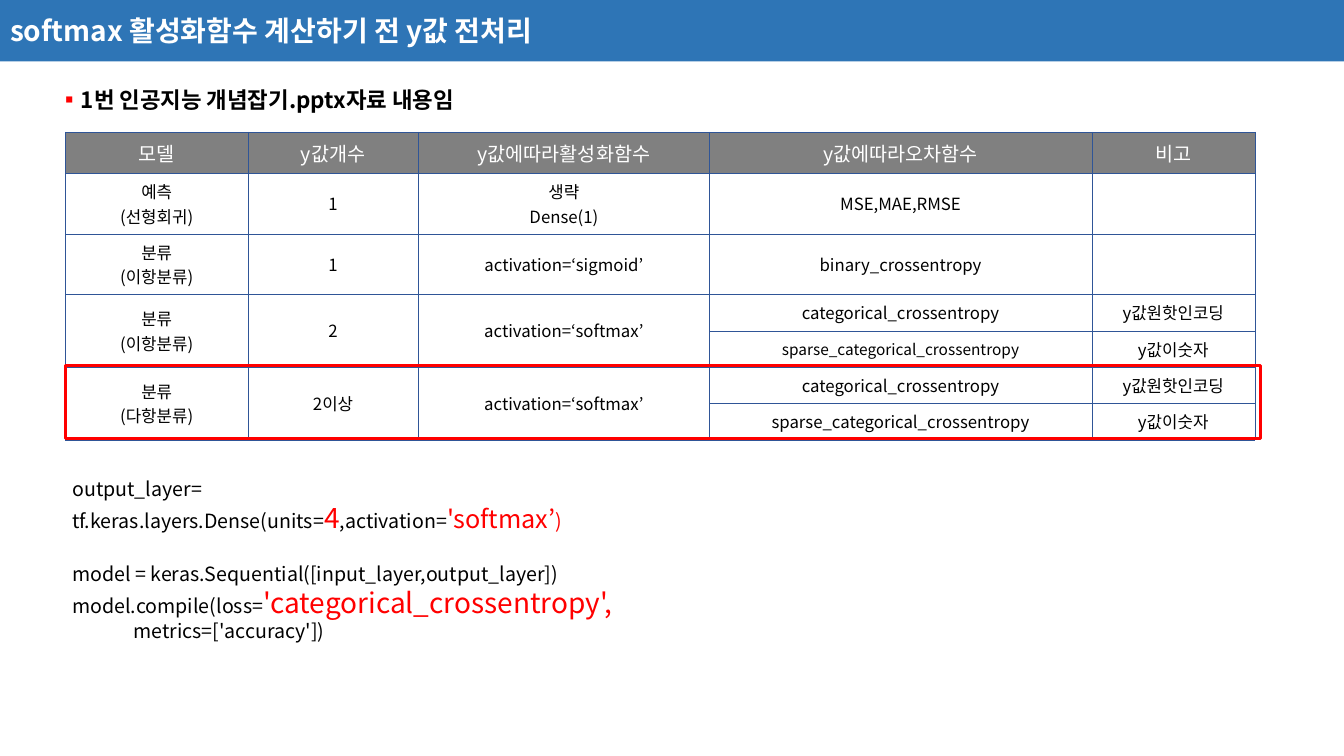
from dataclasses import dataclass

from lxml.etree import SubElement
from pptx import Presentation
from pptx.dml.color import RGBColor
from pptx.enum.shapes import MSO_SHAPE
from pptx.enum.text import MSO_ANCHOR, MSO_AUTO_SIZE, PP_ALIGN
from pptx.oxml.ns import qn
from pptx.slide import Slide
from pptx.util import Pt

FONT = "Noto Sans CJK KR"
BLACK = RGBColor(0x00, 0x00, 0x00)
WHITE = RGBColor(0xFF, 0xFF, 0xFF)
RED = RGBColor(0xFF, 0x00, 0x00)
BAR_BLUE = RGBColor(0x2E, 0x75, 0xB6)
BORDER_BLUE = RGBColor(0x2F, 0x55, 0x97)
HEADER_GRAY = RGBColor(0x80, 0x80, 0x80)

COLUMN_WIDTHS = [130.3, 121.7, 208.1, 272.9, 116.6]
ROW_HEIGHTS = [29.5, 43.2, 43.2, 26, 26, 26, 26]
HEADINGS = ["모델", "y값개수", "y값에따라활성화함수", "y값에따라오차함수", "비고"]


@dataclass(frozen=True)
class Loss:
    function: str
    remark: str = ""
    size: float = 12


@dataclass(frozen=True)
class Model:
    name: str
    outputs: str
    activation: str
    losses: tuple[Loss, ...]


@dataclass(frozen=True)
class Piece:
    text: str
    size: float = 14
    color: RGBColor = BLACK


@dataclass(frozen=True)
class CodeLine:
    pieces: tuple[Piece, ...]
    space_before: float = 0
    indent: float = 0


ONE_HOT = Loss("categorical_crossentropy", "y값원핫인코딩")
SPARSE = "sparse_categorical_crossentropy"
MODELS = [
    Model("예측\n(선형회귀)", "1", "생략\nDense(1)", (Loss("MSE,MAE,RMSE"),)),
    Model("분류\n(이항분류)", "1", "activation=‘sigmoid’", (Loss("binary_crossentropy"),)),
    Model("분류\n(이항분류)", "2", "activation=‘softmax’",
          (ONE_HOT, Loss(SPARSE, "y값이숫자", 11))),
    Model("분류\n(다항분류)", "2이상", "activation=‘softmax’",
          (ONE_HOT, Loss(SPARSE, "y값이숫자"))),
]
CODE = [
    CodeLine((Piece("output_layer= tf.keras.layers.Dense(units="), Piece("4", 20, RED),
              Piece(",activation="), Piece("'softmax’", 18, RED), Piece(")", 14, RED))),
    CodeLine((Piece("model = keras.Sequential([input_layer,output_layer])"),), space_before=20),
    CodeLine((Piece("model.compile(loss="), Piece("'categorical_crossentropy',", 20, RED))),
    CodeLine((Piece("metrics=['accuracy'])"),), indent=43.5),
]


def style_run(run, size: float, color: RGBColor, bold: bool = False) -> None:
    run.font.name = FONT
    run.font.size = Pt(size)
    run.font.color.rgb = color
    run.font.bold = bold
    SubElement(run.font._element, qn("a:ea"), typeface=FONT)


def place(shape, left: float, top: float, width: float, height: float) -> None:
    shape.left, shape.top = Pt(left), Pt(top)
    shape.width, shape.height = Pt(width), Pt(height)


def add_heading(slide: Slide) -> None:
    heading = slide.shapes.title
    place(heading, 0, 0, 960, 43.9)
    heading.fill.solid()
    heading.fill.fore_color.rgb = BAR_BLUE
    frame = heading.text_frame
    frame.text = "softmax 활성화함수 계산하기 전 y값 전처리"
    frame.auto_size = MSO_AUTO_SIZE.NONE
    frame.vertical_anchor = MSO_ANCHOR.MIDDLE
    paragraph = frame.paragraphs[0]
    paragraph.alignment = PP_ALIGN.LEFT
    style_run(paragraph.runs[0], 20, WHITE, bold=True)


def add_reference(slide: Slide) -> None:
    reference = slide.placeholders[1]
    place(reference, 34.6, 57.6, 832.3, 26.6)
    frame = reference.text_frame
    frame.text = "1번 인공지능 개념잡기.pptx자료 내용임"
    frame.auto_size = MSO_AUTO_SIZE.NONE
    paragraph = frame.paragraphs[0]
    paragraph.space_before = Pt(0)
    style_run(paragraph.runs[0], 16, BLACK, bold=True)
    properties = paragraph._p.get_or_add_pPr()
    properties.set("marL", str(Pt(13.5)))
    properties.set("indent", str(Pt(-13.5)))
    bullet_color = SubElement(properties, qn("a:buClr"))
    SubElement(bullet_color, qn("a:srgbClr"), val=str(RED))
    SubElement(properties, qn("a:buFont"), typeface=FONT)
    SubElement(properties, qn("a:buChar"), char="▪")


def fill_cell(cell, text: str, size: float = 12, color: RGBColor = BLACK,
              background: RGBColor = WHITE) -> None:
    cell.text_frame.text = text
    cell.vertical_anchor = MSO_ANCHOR.MIDDLE
    for paragraph in cell.text_frame.paragraphs:
        paragraph.alignment = PP_ALIGN.CENTER
        for run in paragraph.runs:
            style_run(run, size, color)


    properties = cell._tc.get_or_add_tcPr()
    for side in ("a:lnL", "a:lnR", "a:lnT", "a:lnB"):
        border = SubElement(properties, qn(side), w=str(Pt(0.25)))
        border_fill = SubElement(border, qn("a:solidFill"))
        SubElement(border_fill, qn("a:srgbClr"), val=str(BORDER_BLUE))
    cell.fill.solid()
    cell.fill.fore_color.rgb = background


def add_model_table(slide: Slide) -> None:
    table = slide.shapes.add_table(
        len(ROW_HEIGHTS), len(COLUMN_WIDTHS), Pt(46.8), Pt(94.3),
        Pt(sum(COLUMN_WIDTHS)), Pt(sum(ROW_HEIGHTS))).table
    for column, width in zip(table.columns, COLUMN_WIDTHS):
        column.width = Pt(width)
    for row, height in zip(table.rows, ROW_HEIGHTS):
        row.height = Pt(height)
    for column, label in enumerate(HEADINGS):
        fill_cell(table.cell(0, column), label, 14, WHITE, HEADER_GRAY)

    # A model spans one row per loss function
    first = 1
    for model in MODELS:
        last = first + len(model.losses) - 1
        for row, loss in enumerate(model.losses, first):
            shared = (model.name, model.outputs, model.activation) if row == first else ("",) * 3
            for column, text in enumerate(shared):
                fill_cell(table.cell(row, column), text)
            fill_cell(table.cell(row, 3), loss.function, loss.size)
            fill_cell(table.cell(row, 4), loss.remark)
        if last > first:
            for column in range(3):
                table.cell(first, column).merge(table.cell(last, column))
        first = last + 1


def add_highlight(slide: Slide) -> None:
    highlight = slide.shapes.add_shape(
        MSO_SHAPE.RECTANGLE, Pt(46.8), Pt(260.9), Pt(853.9), Pt(52.6))
    highlight.shadow.inherit = False
    highlight.fill.background()
    highlight.line.color.rgb = RED
    highlight.line.width = Pt(2.25)


def add_code(slide: Slide) -> None:
    frame = slide.shapes.add_textbox(Pt(44.6), Pt(337), Pt(453.6), Pt(106.6)).text_frame
    frame.word_wrap = True
    for number, line in enumerate(CODE):
        paragraph = frame.add_paragraph() if number else frame.paragraphs[0]
        paragraph.space_before = Pt(line.space_before)
        if line.indent:
            paragraph._p.get_or_add_pPr().set("marL", str(Pt(line.indent)))
        for piece in line.pieces:
            run = paragraph.add_run()
            run.text = piece.text
            style_run(run, piece.size, piece.color)


def main() -> None:
    presentation = Presentation()
    presentation.slide_width, presentation.slide_height = Pt(960), Pt(540)
    slide = presentation.slides.add_slide(presentation.slide_layouts[1])
    add_heading(slide)
    add_model_table(slide)
    add_reference(slide)
    add_highlight(slide)
    add_code(slide)
    presentation.save("out.pptx")


if __name__ == "__main__":
    main()
